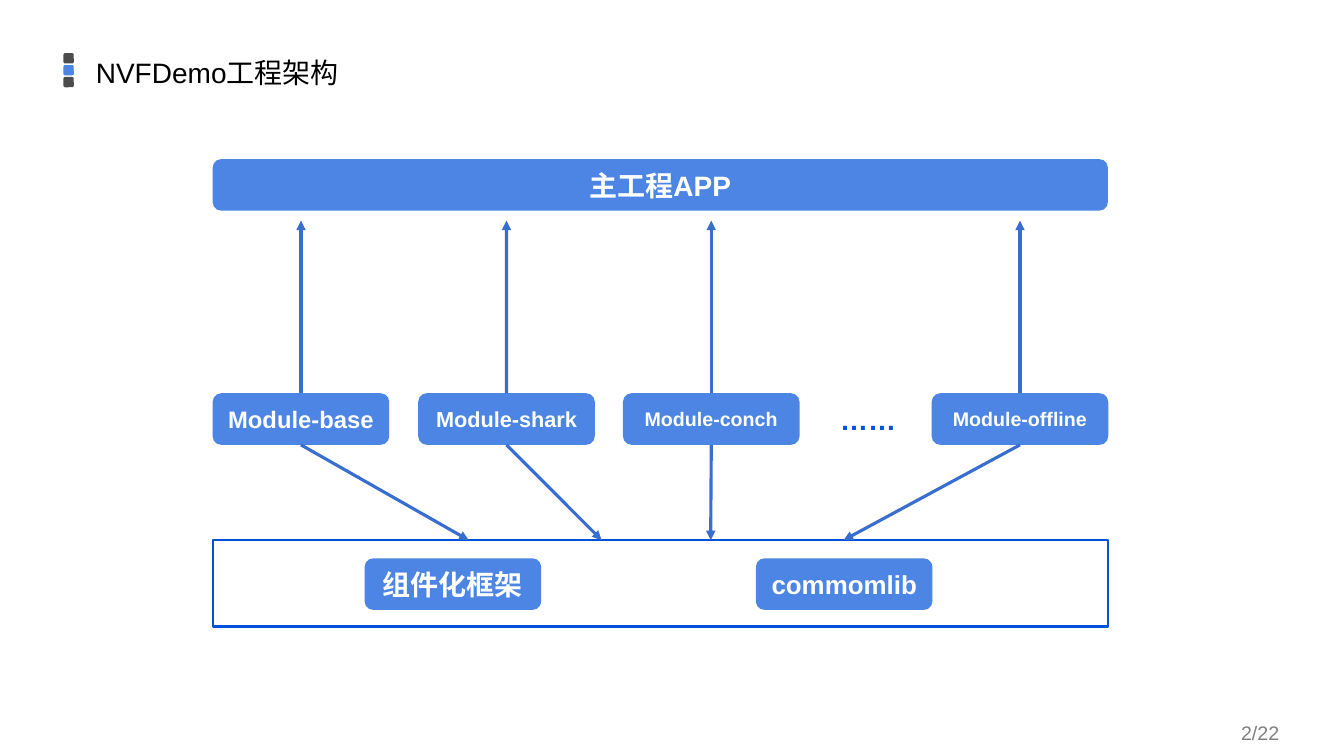
from lxml.etree import SubElement
from pptx import Presentation
from pptx.dml.color import RGBColor
from pptx.enum.shapes import MSO_CONNECTOR as Connector, MSO_SHAPE as Shape
from pptx.enum.text import MSO_ANCHOR as Anchor, MSO_AUTO_SIZE as AutoSize, PP_ALIGN as Align
from pptx.oxml.ns import qn
from pptx.util import Cm, Pt

# Content
TITLE = "NVFDemo工程架构"
PAGE_NUMBER = "2/22"
APP = ("主工程APP", 20)
ELLIPSIS = "……"
# module name, text size, left edge, x where its downward arrow ends
MODULES = [
    ("Module-base", 17, 5.36, 11.81),
    ("Module-shark", 15.5, 10.54, 15.16),
    ("Module-conch", 14, 15.7, 17.91),
    ("Module-offline", 14, 23.48, 21.26),
]
LIBRARIES = [("组件化框架", 20, 9.19), ("commomlib", 18.5, 19.05)]

COLORS = {
    "blue": "0052D9",
    "arrow": "396ED1",
    "black": "000000",
    "gray": "808080",
    "white": "FFFFFF",
}
FONT = "Arial"

# Layout in centimetres
LEFT, WIDTH = 5.36, 22.56
BOX_WIDTH, BOX_HEIGHT = 4.45, 1.3
APP_TOP, MODULE_TOP, LIBRARY_TOP = 4.01, 9.91, 14.07
FRAME_TOP, FRAME_HEIGHT = 13.61, 2.18
ARROW_TOP = 5.56
MARK_LEFT, MARK_TOP, MARK_SIZE, MARK_STEP = 1.6, 1.34, 0.26, 0.3


def rgb(name):
    return RGBColor.from_string(COLORS[name])


def write(shape, text, size, color, align=Align.CENTER, bold=False):
    frame = shape.text_frame
    frame.word_wrap = True
    frame.vertical_anchor = Anchor.MIDDLE
    paragraph = frame.paragraphs[0]
    paragraph.text = text
    paragraph.alignment = align
    font = paragraph.font
    font.name, font.size, font.bold = FONT, Pt(size), bold
    font.color.rgb = rgb(color)


def add_block(slide, left, top, width, height, color):
    """Rounded rectangle with a 70 % opaque fill."""
    shape = slide.shapes.add_shape(
        Shape.ROUNDED_RECTANGLE, Cm(left), Cm(top), Cm(width), Cm(height))
    shape.shadow.inherit = False
    shape.line.fill.background()
    shape.fill.solid()
    shape.fill.fore_color.rgb = rgb(color)
    fill_color = shape._element.spPr.find(qn("a:solidFill"))[0]
    SubElement(fill_color, qn("a:alpha"), val="70000")
    return shape


def add_label_block(slide, text, size, left, top, width=BOX_WIDTH):
    shape = add_block(slide, left, top, width, BOX_HEIGHT, "blue")
    write(shape, text, size, "white", bold=True)
    return shape


def add_arrow(slide, shape, side, end_x, end_y):
    connector = slide.shapes.add_connector(
        Connector.STRAIGHT, 0, 0, Cm(end_x), Cm(end_y))
    connector.begin_connect(shape, side)
    connector.line.color.rgb = rgb("arrow")
    connector.line.width = Pt(2.25)
    properties = connector._element.spPr
    SubElement(properties.find(qn("a:ln")), qn("a:tailEnd"), type="triangle")
    SubElement(properties, qn("a:effectLst"))


def add_text(slide, text, size, color, left, top, width, height, **style):
    box = slide.shapes.add_textbox(Cm(left), Cm(top), Cm(width), Cm(height))
    write(box, text, size, color, **style)


def main():
    presentation = Presentation()
    presentation.slide_width, presentation.slide_height = Cm(33.87), Cm(19.05)
    slide = presentation.slides.add_slide(presentation.slide_layouts[5])

    # Title with its three-square marker, and page number
    for index, color in enumerate(["black", "blue", "black"]):
        add_block(slide, MARK_LEFT, MARK_TOP + index * MARK_STEP,
                  MARK_SIZE, MARK_SIZE, color)
    title = slide.shapes.title
    title.left, title.top, title.width, title.height = (
        Cm(2.16), Cm(1.09), Cm(11.96), Cm(1.27))
    write(title, TITLE, 20, "black", align=Align.LEFT)
    title.text_frame.auto_size = AutoSize.NONE
    title.text_frame.vertical_anchor = Anchor.TOP
    title.text_frame.paragraphs[0].line_spacing = 1.2
    add_text(slide, PAGE_NUMBER, 14, "gray", 24.41, 18.16, 8.08, 0.58,
             align=Align.RIGHT)

    # Main application
    add_label_block(slide, *APP, LEFT, APP_TOP, WIDTH)

    # Frame with the shared libraries
    frame = slide.shapes.add_shape(
        Shape.RECTANGLE, Cm(LEFT), Cm(FRAME_TOP), Cm(WIDTH), Cm(FRAME_HEIGHT))
    frame.shadow.inherit = False
    frame.fill.background()
    frame.line.color.rgb = rgb("blue")
    frame.line.width = Pt(1.5)
    for name, size, left in LIBRARIES:
        add_label_block(slide, name, size, left, LIBRARY_TOP)

    # Modules, each with an arrow up to the app and one down to the libraries
    for name, size, left, target_x in MODULES:
        module = add_label_block(slide, name, size, left, MODULE_TOP)
        add_arrow(slide, module, 0, left + BOX_WIDTH / 2, ARROW_TOP)
        add_arrow(slide, module, 2, target_x, FRAME_TOP)
    add_text(slide, ELLIPSIS, 20, "blue", 20.65, MODULE_TOP, 2.46, BOX_HEIGHT,
             bold=True)

    presentation.save("out.pptx")


if __name__ == "__main__":
    main()
